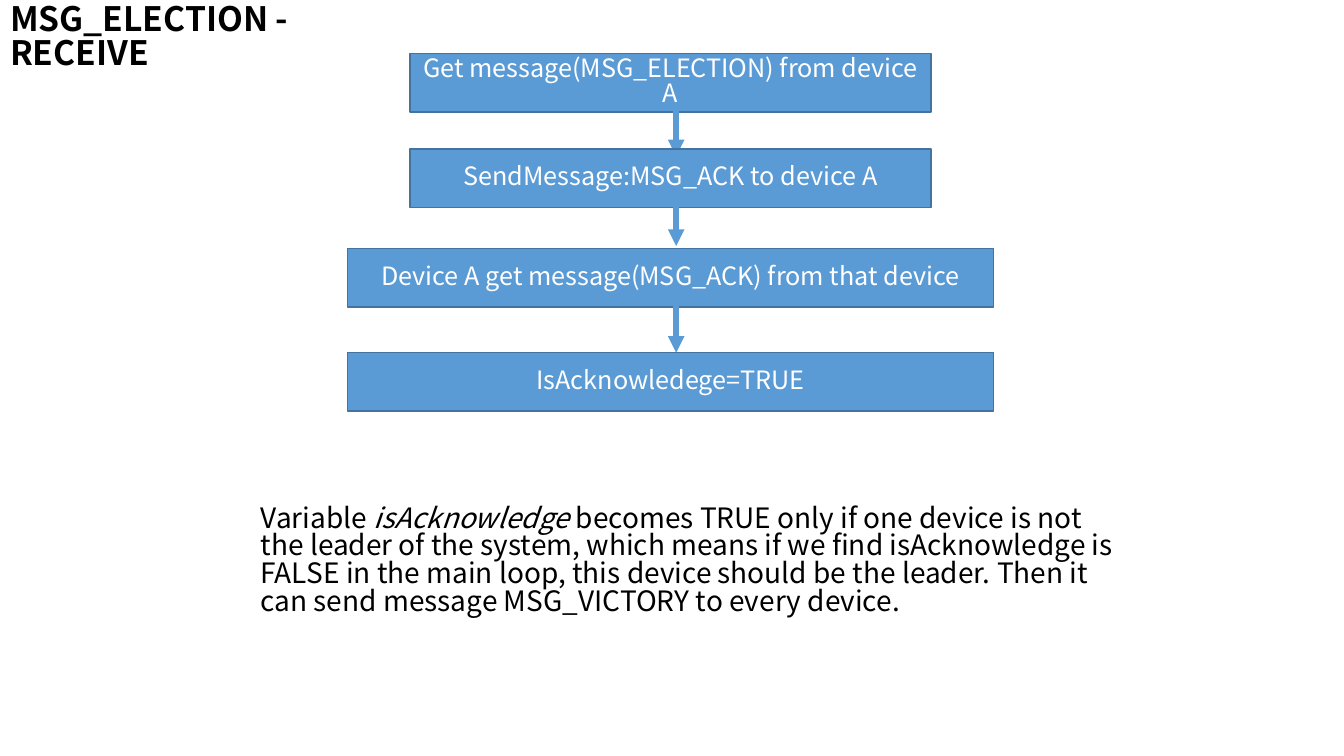
from lxml import etree
from pptx import Presentation
from pptx.dml.color import RGBColor
from pptx.enum.shapes import MSO_CONNECTOR, MSO_SHAPE
from pptx.enum.text import MSO_ANCHOR, MSO_AUTO_SIZE, PP_ALIGN
from pptx.oxml.ns import qn
from pptx.util import Cm, Pt

RECTANGLE = MSO_SHAPE.RECTANGLE
STRAIGHT = MSO_CONNECTOR.STRAIGHT
TOP, MIDDLE = MSO_ANCHOR.TOP, MSO_ANCHOR.MIDDLE
LEFT, CENTER = PP_ALIGN.LEFT, PP_ALIGN.CENTER
NO_AUTOFIT = MSO_AUTO_SIZE.NONE

FONT = "Noto Sans CJK SC"
LINE_SPACING = 0.83
COLORS = {"step": "5B9BD5", "border": "43739E", "light": "FFFFFF", "dark": "000000"}

HEADING = "MSG_ELECTION - RECEIVE"
NARROW, WIDE = 13.13, 16.28
STEPS = [
    ("Get message(MSG_ELECTION) from device A", 1.35, NARROW, 2.77),
    ("SendMessage:MSG_ACK to device A", 3.76, NARROW, 5.03),
    ("Device A get message(MSG_ACK) from that device", 6.27, WIDE, 7.72),
    ("IsAcknowledege=TRUE", 8.89, WIDE, None),
]
EXPLANATION = [
    ("Variable ", False),
    ("isAcknowledge", True),
    (" becomes TRUE only if one device is not the leader of the system, "
     "which means if we find isAcknowledge is FALSE in the main loop, "
     "this device should be the leader. Then it can send message "
     "MSG_VICTORY to every device.", False),
]

STEP_CENTER, STEP_HEIGHT = 16.9, 1.47
ARROW_X, ARROW_LENGTH = 17.04, 1.17


def color(key):
    return RGBColor.from_string(COLORS[key])


def format_paragraph(paragraph, size, color_key, align, bold=False):
    paragraph.alignment = align
    paragraph.line_spacing = LINE_SPACING
    font = paragraph.font
    font.name, font.size, font.bold = FONT, Pt(size), bold
    font.color.rgb = color(color_key)


def add_step(slide, label, top, width):
    step = slide.shapes.add_shape(
        RECTANGLE, Cm(STEP_CENTER - width / 2), Cm(top), Cm(width), Cm(STEP_HEIGHT))
    step.shadow.inherit = False
    step.fill.solid()
    step.fill.fore_color.rgb = color("step")
    step.line.color.rgb = color("border")
    step.line.width = Pt(1)
    frame = step.text_frame
    frame.word_wrap = True
    frame.vertical_anchor = MIDDLE
    frame.text = label
    format_paragraph(frame.paragraphs[0], 18, "light", CENTER)


def add_arrow(slide, top):
    arrow = slide.shapes.add_connector(
        STRAIGHT, Cm(ARROW_X), Cm(top), Cm(ARROW_X), Cm(top + ARROW_LENGTH))
    arrow.line.color.rgb = color("step")
    arrow.line.width = Pt(4)
    etree.SubElement(arrow.line._get_or_add_ln(), qn("a:tailEnd"), type="triangle")
    etree.SubElement(arrow._element.spPr, qn("a:effectLst"))


def add_heading(slide):
    heading = slide.shapes.title
    heading.left, heading.top = Cm(0), Cm(0)
    heading.width, heading.height = Cm(10.67), Cm(1.27)
    frame = heading.text_frame
    frame.text = HEADING
    frame.word_wrap = True
    frame.auto_size = NO_AUTOFIT
    frame.vertical_anchor = TOP
    format_paragraph(frame.paragraphs[0], 24, "dark", LEFT, bold=True)


def add_explanation(slide):
    explanation = slide.shapes.add_textbox(Cm(6.32), Cm(12.62), Cm(22.12), Cm(3.68))
    frame = explanation.text_frame
    frame.word_wrap = True
    paragraph = frame.paragraphs[0]
    format_paragraph(paragraph, 20, "dark", LEFT)
    for text, italic in EXPLANATION:
        run = paragraph.add_run()
        run.text = text
        run.font.italic = italic


def main():
    deck = Presentation()
    deck.slide_width, deck.slide_height = Cm(33.87), Cm(19.05)
    slide = deck.slides.add_slide(deck.slide_layouts[5])
    add_heading(slide)
    for label, top, width, arrow_top in STEPS:
        add_step(slide, label, top, width)
        if arrow_top is not None:
            add_arrow(slide, arrow_top)
    add_explanation(slide)
    deck.save("out.pptx")


if __name__ == "__main__":
    main()
